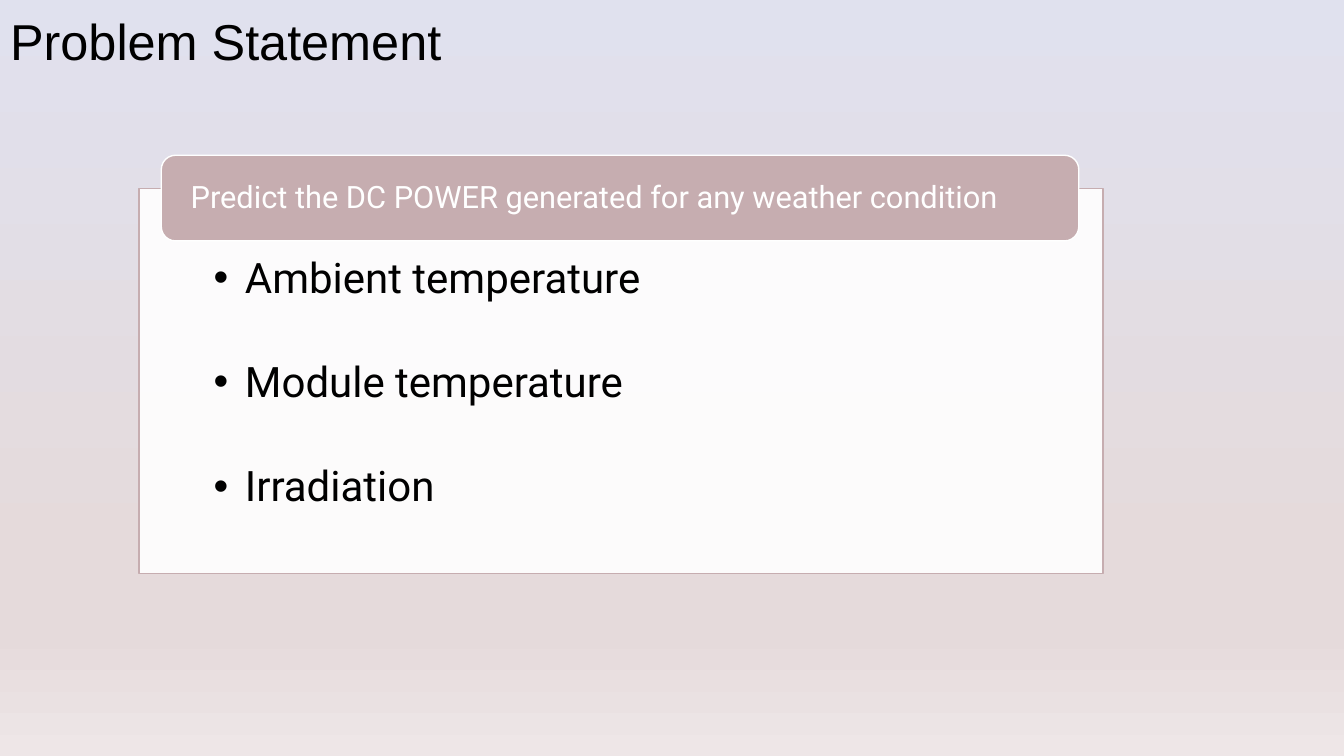
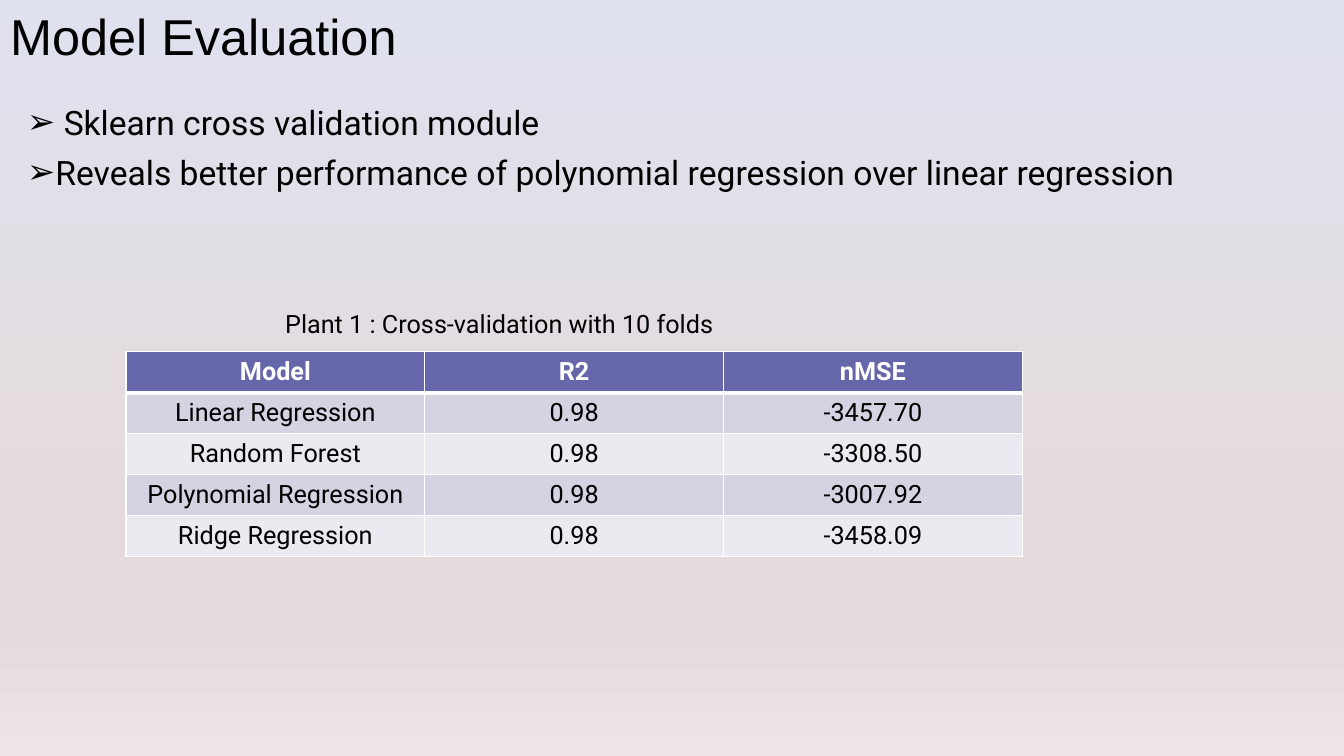
"""Build two slides on predicting solar power."""
from lxml import etree
from pptx import Presentation
from pptx import util as u
from pptx.dml.color import RGBColor
from pptx.enum import shapes, text
from pptx.oxml.ns import qn

BODY, HEAD = "Roboto", "Arial"
BLACK, WHITE, ROSE, PLUM = "000000", "FFFFFF", "C6ADB0", "6667AB"
BANDS = ["D3D3E2", "EAEBF1"]
STOPS = [(0, "E0E1EE"), (74, "E5DADB"), (83, "E5DADB"), (100, "EEE6E7")]
FACTS = ["Ambient temperature", "Module temperature", "Irradiation"]
NOTES = [" Sklearn cross validation module",
         "Reveals better performance of polynomial regression over linear regression"]
SCORES = [["Model", "R2", "nMSE"],
          ["Linear Regression", "0.98", "-3457.70"],
          ["Random Forest", "0.98", "-3308.50"],
          ["Polynomial Regression", "0.98", "-3007.92"],
          ["Ridge Regression", "0.98", "-3458.09"]]


def rgb(code):
    """Turn a hex string into a colour."""
    return RGBColor.from_string(code)


def node(parent, tag, **attrs):
    """Add a drawing element with its attributes."""
    item = etree.SubElement(parent, qn("a:" + tag))
    for key, value in attrs.items():
        item.set(key, str(value))
    return item


def backdrop(master):
    """Give all slides the same gradient."""
    fill = master.background.fill
    fill.gradient()
    fill.gradient_angle = 270
    stops = master.element.find(".//" + qn("a:gsLst"))
    for old in list(stops):
        stops.remove(old)
    for pos, code in STOPS:
        node(node(stops, "gs", pos=pos * 1000), "srgbClr", val=code)


def write(para, words, size, color=BLACK, font=BODY, bold=False):
    """Add one run to a paragraph."""
    run = para.add_run()
    run.text = words
    run.font.size = u.Pt(size)
    run.font.name = font
    run.font.bold = bold
    run.font.color.rgb = rgb(color)


def frame(shape, insets=(0.1, 0.05, 0.1, 0.05), anchor=text.MSO_ANCHOR.TOP):
    """Set wrap, insets and anchor, and return the text frame."""
    body = shape.text_frame
    body.word_wrap = True
    body.auto_size = text.MSO_AUTO_SIZE.NONE
    body.vertical_anchor = anchor
    (body.margin_left, body.margin_top,
     body.margin_right, body.margin_bottom) = map(u.Inches, insets)
    return body


def bullets(body, lines, mark, size, indent, pitch, gap):
    """Write marked lines with a hanging indent."""
    for num, words in enumerate(lines):
        para = body.add_paragraph() if num else body.paragraphs[0]
        para.alignment = text.PP_ALIGN.LEFT
        para.line_spacing = pitch
        para.space_after = u.Pt(gap if num < len(lines) - 1 else 0)
        props = para._p.get_or_add_pPr()
        props.set("marL", str(u.Inches(indent)))
        props.set("indent", str(-u.Inches(indent)))
        node(props, "buFont", typeface=HEAD)
        node(props, "buChar", char=mark)
        write(para, words, size)


def page(deck, title, top):
    """Add a slide with its title."""
    slide = deck.slides.add_slide(deck.slide_layouts[5])
    shape = slide.shapes.title
    shape.left, shape.top, shape.width, shape.height = map(
        u.Inches, (0, top, 7.47, 0.71))
    para = frame(shape).paragraphs[0]
    para.alignment = text.PP_ALIGN.LEFT
    write(para, title, 36, font=HEAD)
    return slide


def panel(slide, kind, spot, fill, line):
    """Add a filled shape with a thin outline."""
    shape = slide.shapes.add_shape(kind, *map(u.Inches, spot))
    shape.shadow.inherit = False
    shape.fill.solid()
    shape.fill.fore_color.rgb = rgb(fill)
    shape.line.color.rgb = rgb(line)
    shape.line.width = u.Pt(1)
    return shape


def textbox(slide, spot, **style):
    """Add a text box and return its frame."""
    return frame(slide.shapes.add_textbox(*map(u.Inches, spot)), **style)


def border(cell, side, width):
    """Draw one white cell edge."""
    line = node(cell._tc.get_or_add_tcPr(), "ln" + side, w=u.Pt(width))
    node(node(line, "solidFill"), "srgbClr", val=WHITE)


def grid(slide, spot, rows):
    """Add a table with a dark head and banded rows."""
    table = slide.shapes.add_table(
        len(rows), len(rows[0]), *map(u.Inches, spot)).table
    for r, row in enumerate(rows):
        for c, words in enumerate(row):
            cell = table.cell(r, c)
            cell.margin_left = cell.margin_right = u.Inches(0.08)
            cell.margin_top = cell.margin_bottom = u.Inches(0.04)
            cell.vertical_anchor = text.MSO_ANCHOR.MIDDLE
            for side in "LRTB":
                border(cell, side, 3 if (r, side) in [(0, "B"), (1, "T")] else 1)
            cell.fill.solid()
            cell.fill.fore_color.rgb = rgb(BANDS[(r - 1) % 2] if r else PLUM)
            para = cell.text_frame.paragraphs[0]
            para.alignment = text.PP_ALIGN.CENTER
            write(para, words, 18, BLACK if r else WHITE, bold=not r)


def problem(deck):
    """Build the slide on the problem."""
    slide = page(deck, "Problem Statement", 0.05)
    kinds = shapes.MSO_SHAPE
    card = panel(slide, kinds.RECTANGLE, (1.38, 1.87, 9.56, 3.82), WHITE, ROSE)
    tint = card._element.spPr.find(qn("a:solidFill"))[0]
    node(tint, "alpha", val=90000)
    bullets(frame(card, (0.74, 0.68, 0.74, 0.23)), FACTS, "•", 30, 0.31, 0.9, 42)
    label = panel(slide, kinds.ROUNDED_RECTANGLE, (1.6, 1.54, 9.1, 0.85), ROSE, WHITE)
    para = frame(label, (0.25, 0, 0.25, 0), text.MSO_ANCHOR.MIDDLE).paragraphs[0]
    para.alignment = text.PP_ALIGN.LEFT
    para.line_spacing = 0.9
    write(para, "Predict the DC POWER generated for any weather condition", 22, WHITE)


def results(deck):
    """Build the slide on the scores."""
    slide = page(deck, "Model Evaluation", 0)
    notes = textbox(slide, (0.27, 1.11, 12.55, 1.55), insets=(0, 0.05, 0.1, 0.05))
    bullets(notes, NOTES, "➢", 24, 0.19, u.Pt(18), 18)
    grid(slide, (1.25, 3.49, 8.89, 2.03), SCORES)
    label = textbox(slide, (2.73, 3.01, 5.37, 0.4))
    write(label.paragraphs[0], "Plant 1 : Cross-validation with 10 folds", 18)


def main():
    """Build and save the deck."""
    deck = Presentation()
    deck.slide_width, deck.slide_height = u.Inches(13.33), u.Inches(7.5)
    backdrop(deck.slide_master)
    problem(deck)
    results(deck)
    deck.save("out.pptx")


if __name__ == "__main__":
    main()
